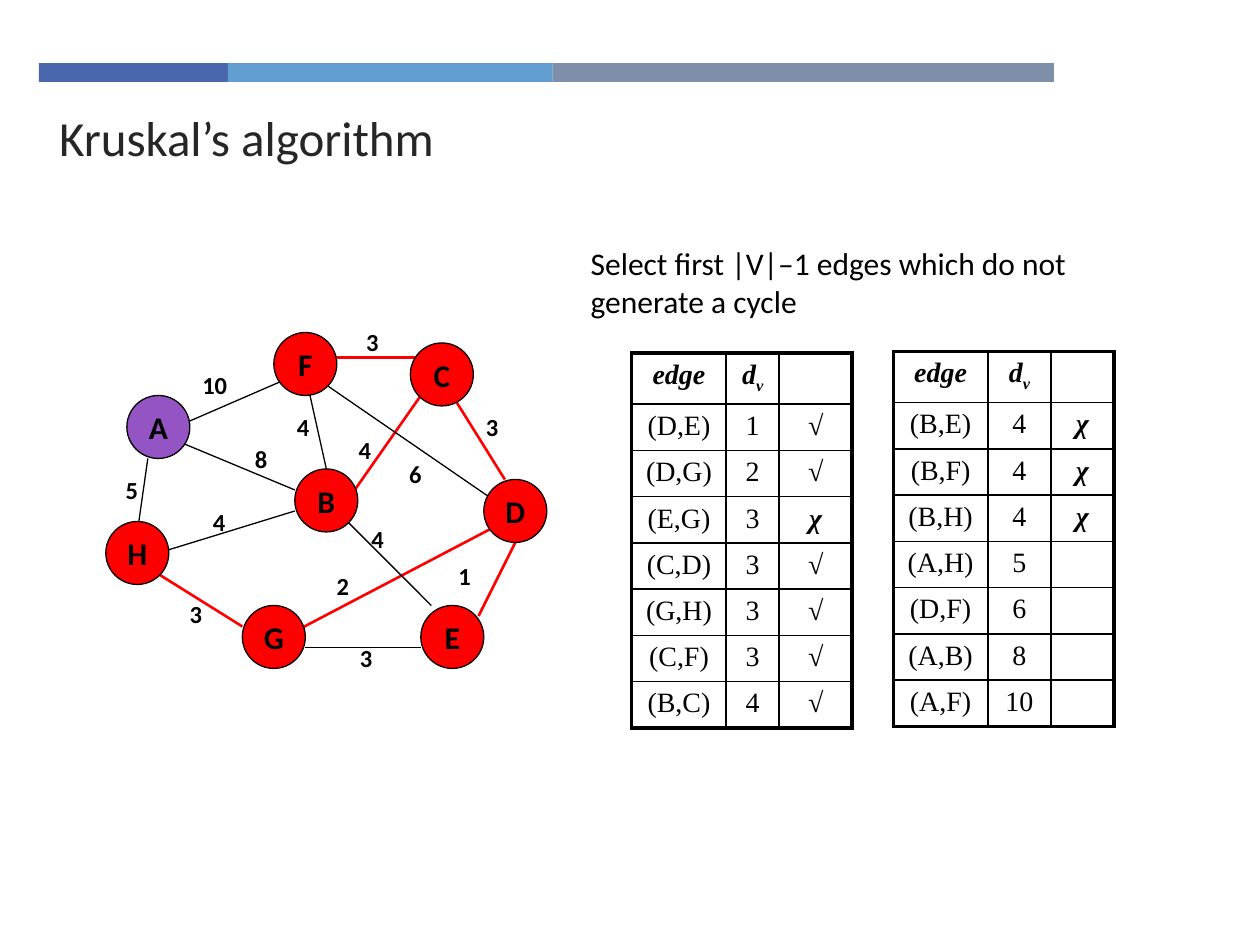
"""Build a slide on Kruskal's algorithm: weighted graph and sorted edge tables."""
from lxml.etree import SubElement
from pptx import Presentation
from pptx.dml.color import RGBColor
from pptx.enum.shapes import MSO_CONNECTOR, MSO_SHAPE
from pptx.enum.text import MSO_ANCHOR, MSO_AUTO_SIZE, PP_ALIGN
from pptx.oxml.ns import qn
from pptx.util import Pt

BLACK = RGBColor(0, 0, 0)
RED = RGBColor(0xFF, 0, 0)
PURPLE = RGBColor(0x94, 0x54, 0xC3)
TITLE_GREY = RGBColor(0x26, 0x26, 0x26)
NAVY = RGBColor(0x4A, 0x66, 0xAC)
SKY = RGBColor(0x62, 0x9D, 0xD1)
SLATE = RGBColor(0x7F, 0x8F, 0xA9)
BODY_FONT, TABLE_FONT = "Calibri", "Times New Roman"

TITLE = "Kruskal’s algorithm"
RULE = "Select first |V|–1 edges which do not generate a cycle"
BANDS = [(108, NAVY), (185.5, SKY), (286.5, SLATE)]
HEADER = ("edge", "d", "")
FIRST_EDGES = [("D,E", 1, "√"), ("D,G", 2, "√"), ("E,G", 3, "χ"), ("C,D", 3, "√"),
               ("G,H", 3, "√"), ("C,F", 3, "√"), ("B,C", 4, "√")]
LAST_EDGES = [("B,E", 4, "χ"), ("B,F", 4, "χ"), ("B,H", 4, "χ"), ("A,H", 5, ""),
              ("D,F", 6, ""), ("A,B", 8, ""), ("A,F", 10, "")]
TABLES = [(FIRST_EDGES, 361, 201.8, (54, 30.2, 41.8)),
          (LAST_EDGES, 510.5, 200.9, (54, 36, 36))]
HEADER_HEIGHT, ROW_HEIGHT = 29.2, 26.4

GRID, LEFT, TOP = 6, 60.5, 190
NODES = {"A": (2, 6), "H": (0, 18), "B": (18, 13), "F": (16, 0),
         "E": (30, 26), "D": (36, 14), "C": (29, 1), "G": (13, 26)}
EDGES = {
    "D,E": ((40.5, 17), (35.5, 27), (32.4, 21.2)),
    "B,F": ((19, 4), (21, 13), (17, 7)),
    "B,C": ((23, 16), (30, 6), (22.9, 9.2)),
    "D,F": ((37, 16), (21, 5), (27.7, 11.5)),
    "B,H": ((5, 21), (18, 17), (9, 16)),
    "D,G": ((17, 29), (38, 18), (20.8, 22.1)),
    "A,H": ((3, 19), (4, 12), (0.7, 13)),
    "A,B": ((6, 10), (18, 15), (13, 10)),
    "C,F": ((21.6, 2.4), (29.6, 2.4), (23.6, -1.1)),
    "C,D": ((33, 6), (38, 14), (35, 7)),
    "B,E": ((23, 18), (31, 26), (24.1, 17.6)),
    "E,G": ((30, 30), (19, 30), (23, 29)),
    "G,H": ((13, 28), (5, 23), (6.8, 24.8)),
    "A,F": ((7.6, 8.6), (16.6, 4.7), (8, 3)),
}
WIDE_LABELS = ("D,E", "D,F", "B,E", "A,F")


def at(point):
    return Pt(LEFT + GRID * point[0]), Pt(TOP + GRID * point[1])


def style(p, size, color=BLACK, bold=False, italic=False, name=BODY_FONT):
    for r in p.runs:
        r.font.size, r.font.name = Pt(size), name
        r.font.bold, r.font.italic = bold, italic
        r.font.color.rgb = color


def add_text(s, text, box, size, bold=False):
    tf = s.shapes.add_textbox(*box).text_frame
    tf.word_wrap = True
    tf.text = text
    style(tf.paragraphs[0], size, bold=bold)


def add_preset(s, kind, box, fill):
    sp = s.shapes.add_shape(kind, *box)
    sp.shadow.inherit = False
    sp.fill.solid()
    sp.fill.fore_color.rgb = fill
    sp.line.fill.background()
    return sp


def add_edge(s, start, end, chosen):
    line = s.shapes.add_connector(MSO_CONNECTOR.STRAIGHT, *at(start), *at(end))
    line.line.color.rgb = RED if chosen else BLACK
    line.line.width = Pt(1.5 if chosen else 0.75)
    SubElement(line._element.spPr, qn("a:effectLst"))


def add_node(s, name, point):
    sp = add_preset(s, MSO_SHAPE.OVAL, (*at(point), Pt(36), Pt(36)),
                    PURPLE if name == "A" else RED)
    sp.line.color.rgb = BLACK
    sp.line.width = Pt(0.75)
    tf = sp.text_frame
    tf.word_wrap = False
    tf.vertical_anchor = MSO_ANCHOR.MIDDLE
    tf.text = name
    tf.paragraphs[0].alignment = PP_ALIGN.CENTER
    style(tf.paragraphs[0], 18, bold=True)


def set_borders(cell, outer):
    props = cell._tc.get_or_add_tcPr()
    for i, (side, is_outer) in enumerate(outer.items()):
        line = props.makeelement(qn("a:" + side), {"w": str(Pt(2.25 if is_outer else 1))})
        fill = SubElement(line, qn("a:solidFill"))
        SubElement(fill, qn("a:srgbClr"), val=str(BLACK))
        props.insert(i, line)


def add_edge_table(s, edges, left, top, widths):
    rows = [HEADER] + [(f"({name})", str(weight), mark) for name, weight, mark in edges]
    heights = [HEADER_HEIGHT] + [ROW_HEIGHT] * len(edges)
    table = s.shapes.add_table(len(rows), len(widths), Pt(left), Pt(top),
                               Pt(sum(widths)), Pt(sum(heights))).table
    table.first_row = table.horz_banding = False
    for column, width in zip(table.columns, widths):
        column.width = Pt(width)
    for i, (row, height) in enumerate(zip(rows, heights)):
        table.rows[i].height = Pt(height)
        for j, text in enumerate(row):
            cell = table.cell(i, j)
            cell.fill.background()
            cell.text = text
            p = cell.text_frame.paragraphs[0]
            p.alignment = PP_ALIGN.CENTER
            if text == "d":
                r = p.add_run()
                r.text = "v"
                r.font._element.set("baseline", "-25000")
            if not text:
                p._p.get_or_add_endParaRPr().set("sz", "1600")
            strong = i == 0 or j == 2
            style(p, 16, bold=strong, italic=strong, name=TABLE_FONT)
            set_borders(cell, {"lnL": j == 0, "lnR": j == len(widths) - 1,
                               "lnT": i == 0, "lnB": i == len(rows) - 1})


def add_title(s):
    title = s.shapes.title
    title.left, title.top, title.width, title.height = Pt(26.6), Pt(57.6), Pt(515.5), Pt(39)
    tf = title.text_frame
    tf.text = TITLE
    tf.auto_size = MSO_AUTO_SIZE.NONE
    tf.vertical_anchor = MSO_ANCHOR.TOP
    tf.paragraphs[0].alignment = PP_ALIGN.LEFT
    style(tf.paragraphs[0], 28, TITLE_GREY)


def main():
    prs = Presentation()
    prs.slide_width, prs.slide_height = Pt(720), Pt(540)
    s = prs.slides.add_slide(prs.slide_layouts[5])
    add_title(s)
    left = 22.3
    for width, color in BANDS:
        add_preset(s, MSO_SHAPE.RECTANGLE, (Pt(left), Pt(36), Pt(width), Pt(10.8)), color)
        left += width
    add_text(s, RULE, (Pt(330.5), Pt(136), Pt(318), Pt(55.4)), 18)
    for edges, left, top, widths in TABLES:
        add_edge_table(s, edges, left, top, widths)
    ranked = FIRST_EDGES + LAST_EDGES
    for name, weight, mark in ranked:
        start, end, label = EDGES[name]
        add_edge(s, start, end, mark == "√")
    for name, point in NODES.items():
        add_node(s, name, point)
    for name, weight, mark in ranked:
        width = 37.4 if name in WIDE_LABELS else 24
        add_text(s, str(weight), (*at(EDGES[name][2]), Pt(width), Pt(24)), 14, bold=True)
    prs.save("out.pptx")


if __name__ == "__main__":
    main()
